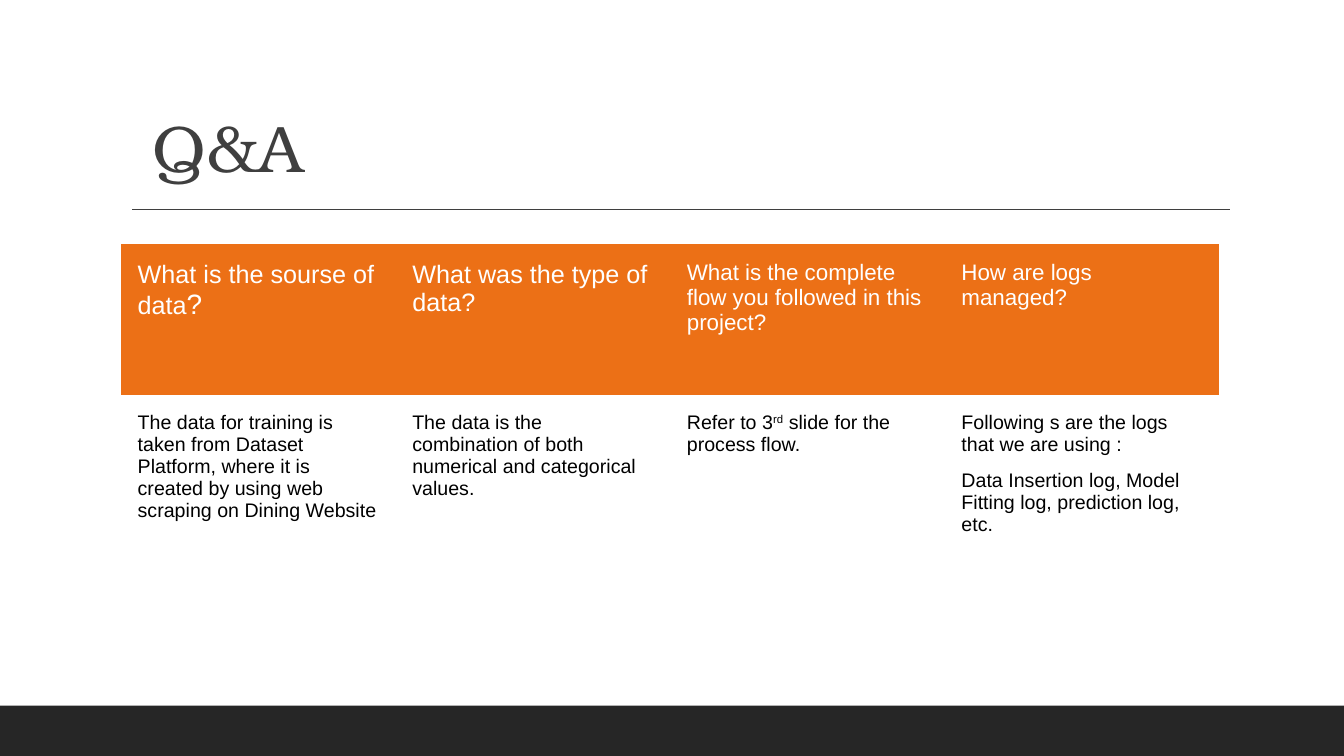
from lxml.etree import SubElement
from pptx import Presentation
from pptx.dml.color import RGBColor
from pptx.enum.shapes import MSO_CONNECTOR as Connector, MSO_SHAPE as Shape
from pptx.enum.text import MSO_ANCHOR as Anchor, MSO_AUTO_SIZE as AutoSize, PP_ALIGN as Align
from pptx.oxml.ns import qn
from pptx.util import Cm, Pt

TITLE = " Q&A"
# Each paragraph is a list of (text, size, baseline percent) spans.
QUESTIONS = [
    [[("What is the sourse of data", 18, 0), ("?", 20, 0)]],
    [[("What was the type of data?", 18, 0)]],
    [[("What is the complete flow you followed in this project?", 16, 0)]],
    [[("How are logs managed?", 16, 0)]],
]
ANSWERS = [
    [[("The data for training is taken from Dataset Platform, where it is created "
       "by using web scraping on Dining Website", 14, 0)]],
    [[("The data is the combination of both numerical and categorical values.", 14, 0)]],
    [[("Refer to 3", 14, 0), ("rd", 14, 30), (" slide for the process flow.", 14, 0)]],
    [[("Following s are the logs that we are using :", 14, 0)],
     [("Data Insertion log, Model Fitting log, prediction log, etc.", 14, 0)]],
]
# Content, row height in cm, text colour, fill colour
ROWS = [(QUESTIONS, 3.81, "FFFFFF", "EC7016"), (ANSWERS, 5.36, "000000", None)]

SLIDE_WIDTH, SLIDE_HEIGHT = 33.87, 19.05
BAR_HEIGHT = 1.27
LEFT, TABLE_TOP, COLUMN_WIDTH = 3.05, 6.15, 6.92
RULE_LEFT, RULE_RIGHT, RULE_TOP = 3.33, 31.0, 5.28
CELL_MARGIN = Cm(0.42)
PLAIN_TABLE_STYLE = "{2D5ABB26-0587-4C30-8999-92F81FD0307C}"


def color(code):
    return RGBColor.from_string(code)


def apply(target, values):
    for name, value in values.items():
        setattr(target, name, value)


def add_span(para, text, size, font, code, baseline=0):
    span = para.add_run()
    span.text = text
    apply(span.font, {"size": Pt(size), "name": font, "bold": False})
    span.font.color.rgb = color(code)
    if baseline:
        span.font._element.set("baseline", str(baseline * 1000))


def add_bar_and_rule(page):
    bar = page.shapes.add_shape(Shape.RECTANGLE, 0, Cm(SLIDE_HEIGHT - BAR_HEIGHT),
                                Cm(SLIDE_WIDTH), Cm(BAR_HEIGHT))
    bar.shadow.inherit = False
    bar.fill.solid()
    bar.fill.fore_color.rgb = color("262626")
    bar.line.fill.background()

    rule = page.shapes.add_connector(Connector.STRAIGHT, Cm(RULE_LEFT), Cm(RULE_TOP),
                                     Cm(RULE_RIGHT), Cm(RULE_TOP))
    rule.line.width = Pt(1)
    rule.line.color.rgb = color("3F3F3F")
    SubElement(rule._element.spPr, qn("a:effectLst"))


def add_title(page):
    title = page.shapes.title
    apply(title, {"left": Cm(LEFT), "top": Cm(0.79), "width": Cm(27.94), "height": Cm(4.04)})
    apply(title.text_frame, {"vertical_anchor": Anchor.BOTTOM, "word_wrap": True,
                             "auto_size": AutoSize.NONE})
    para = title.text_frame.paragraphs[0]
    apply(para, {"alignment": Align.LEFT, "line_spacing": 0.9})
    add_span(para, TITLE, 47, "TeX Gyre Bonum", "3F3F3F")


def fill_cell(cell, paragraphs, text_color, fill_color):
    apply(cell, {f"margin_{side}": CELL_MARGIN for side in ("left", "right", "top", "bottom")})
    if fill_color:
        cell.fill.solid()
        cell.fill.fore_color.rgb = color(fill_color)
    else:
        cell.fill.background()
    for index, spans in enumerate(paragraphs):
        para = cell.text_frame.add_paragraph() if index else cell.text_frame.paragraphs[0]
        para.space_before = Pt(9.6 if index else 0)
        for text, size, baseline in spans:
            add_span(para, text, size, "Arial", text_color, baseline)


def add_question_table(page):
    count = len(QUESTIONS)
    height = sum(row[1] for row in ROWS)
    frame = page.shapes.add_table(len(ROWS), count, Cm(LEFT), Cm(TABLE_TOP),
                                  Cm(COLUMN_WIDTH * count), Cm(height))
    table = frame.table
    apply(table, {"first_row": False, "horz_banding": False})
    table._tbl.tblPr.find(qn("a:tableStyleId")).text = PLAIN_TABLE_STYLE
    for column in table.columns:
        column.width = Cm(COLUMN_WIDTH)
    for row, (contents, row_height, text_color, fill_color) in zip(table.rows, ROWS):
        row.height = Cm(row_height)
        for cell, paragraphs in zip(row.cells, contents):
            fill_cell(cell, paragraphs, text_color, fill_color)


def main():
    deck = Presentation()
    apply(deck, {"slide_width": Cm(SLIDE_WIDTH), "slide_height": Cm(SLIDE_HEIGHT)})
    page = deck.slides.add_slide(deck.slide_layouts.get_by_name("Title Only"))
    add_bar_and_rule(page)
    add_title(page)
    add_question_table(page)
    deck.save("out.pptx")


if __name__ == "__main__":
    main()
